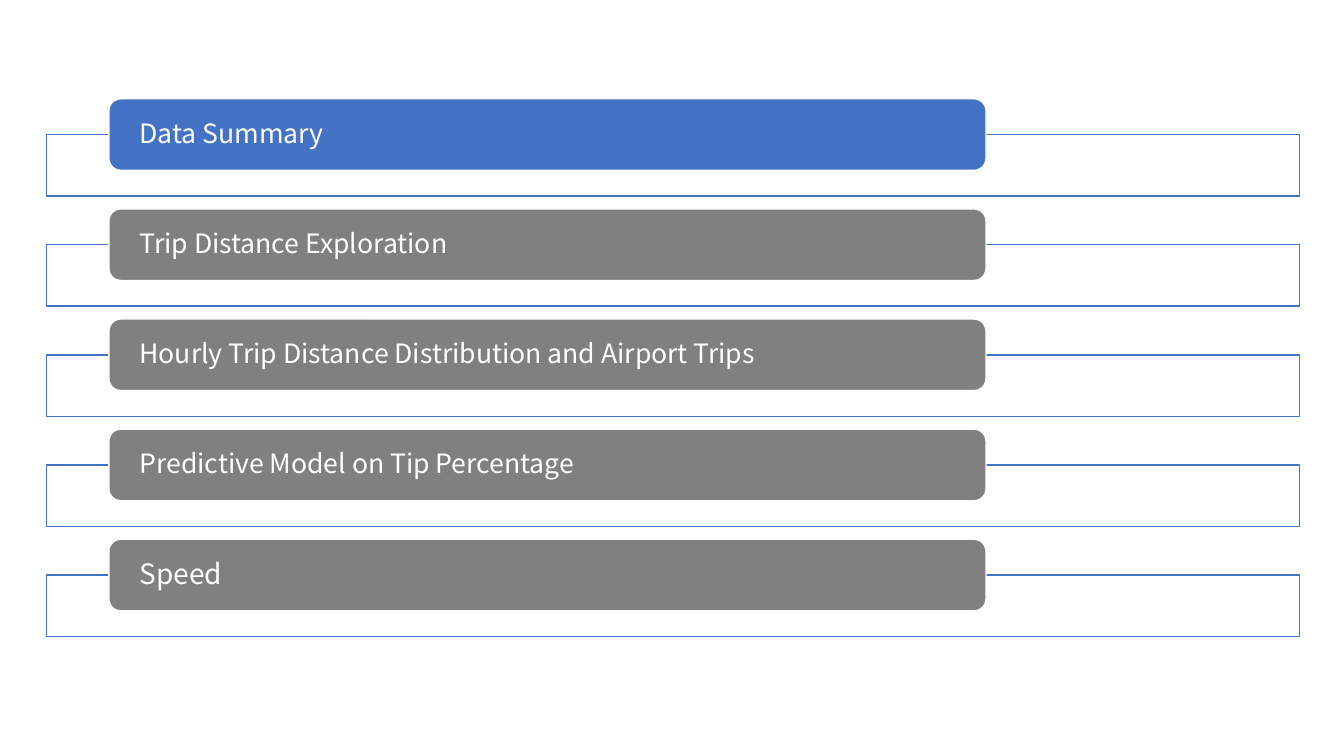
import pptx
import pptx.dml.color
import pptx.enum.shapes
import pptx.enum.text
import pptx.oxml.ns
import pptx.util
from lxml import etree
from pptx.util import Inches

BLUE = pptx.dml.color.RGBColor(0x44, 0x72, 0xC4)
GRAY = pptx.dml.color.RGBColor(0x80, 0x80, 0x80)
WHITE = pptx.dml.color.RGBColor(0xFF, 0xFF, 0xFF)
SHAPES = pptx.enum.shapes.MSO_SHAPE

# Agenda topics: text, fill colour, text size
TOPICS = [
    ("Data Summary", BLUE, 19),
    ("Trip Distance Exploration", GRAY, 19),
    ("Hourly Trip Distance Distribution and Airport Trips", GRAY, 19),
    ("Predictive Model on Tip Percentage", GRAY, 19),
    ("Speed", GRAY, 20),
]
FIRST_TOP, LAST_TOP = 0.98, 5.35
PITCH = (LAST_TOP - FIRST_TOP) / (len(TOPICS) - 1)
FRAME_DROP = 0.355


class AgendaSlide:
    font_name = "Noto Sans CJK SC"
    line_width = pptx.util.Pt(1)

    def __init__(self, presentation):
        self.slide = presentation.slides.add_slide(presentation.slide_layouts[6])

    def box(self, kind, left, top, width, height, fill, line):
        shape = self.slide.shapes.add_shape(
            kind, Inches(left), Inches(top), Inches(width), Inches(height))
        shape.shadow.inherit = False
        shape.fill.solid()
        shape.fill.fore_color.rgb = fill
        shape.line.color.rgb = line
        shape.line.width = self.line_width
        return shape

    def frame(self, top):
        shape = self.box(SHAPES.RECTANGLE, 0.46, top, 12.43, 0.61, WHITE, BLUE)
        # Fill at 90 % opacity
        color = shape.fill._xPr.find(".//" + pptx.oxml.ns.qn("a:srgbClr"))
        etree.SubElement(color, pptx.oxml.ns.qn("a:alpha"), val="90000")

    def bar(self, top, text, fill, size):
        shape = self.box(SHAPES.ROUNDED_RECTANGLE, 1.08, top, 8.7, 0.71, fill, WHITE)
        text_frame = shape.text_frame
        text_frame.word_wrap = True
        text_frame.vertical_anchor = pptx.enum.text.MSO_ANCHOR.MIDDLE
        text_frame.margin_left = text_frame.margin_right = Inches(0.27)
        text_frame.margin_top = text_frame.margin_bottom = 0
        paragraph = text_frame.paragraphs[0]
        paragraph.alignment = pptx.enum.text.PP_ALIGN.LEFT
        paragraph.line_spacing = 0.9
        run = paragraph.add_run()
        run.text = text
        run.font.name = self.font_name
        run.font.size = pptx.util.Pt(size)
        run.font.color.rgb = WHITE


def main():
    presentation = pptx.Presentation()
    presentation.slide_width = Inches(13.33)
    presentation.slide_height = Inches(7.5)
    agenda = AgendaSlide(presentation)

    # One outlined frame and one labelled bar per topic
    for index, (text, fill, size) in enumerate(TOPICS):
        top = FIRST_TOP + index * PITCH
        agenda.frame(top + FRAME_DROP)
        agenda.bar(top, text, fill, size)

    presentation.save("out.pptx")


if __name__ == "__main__":
    main()
